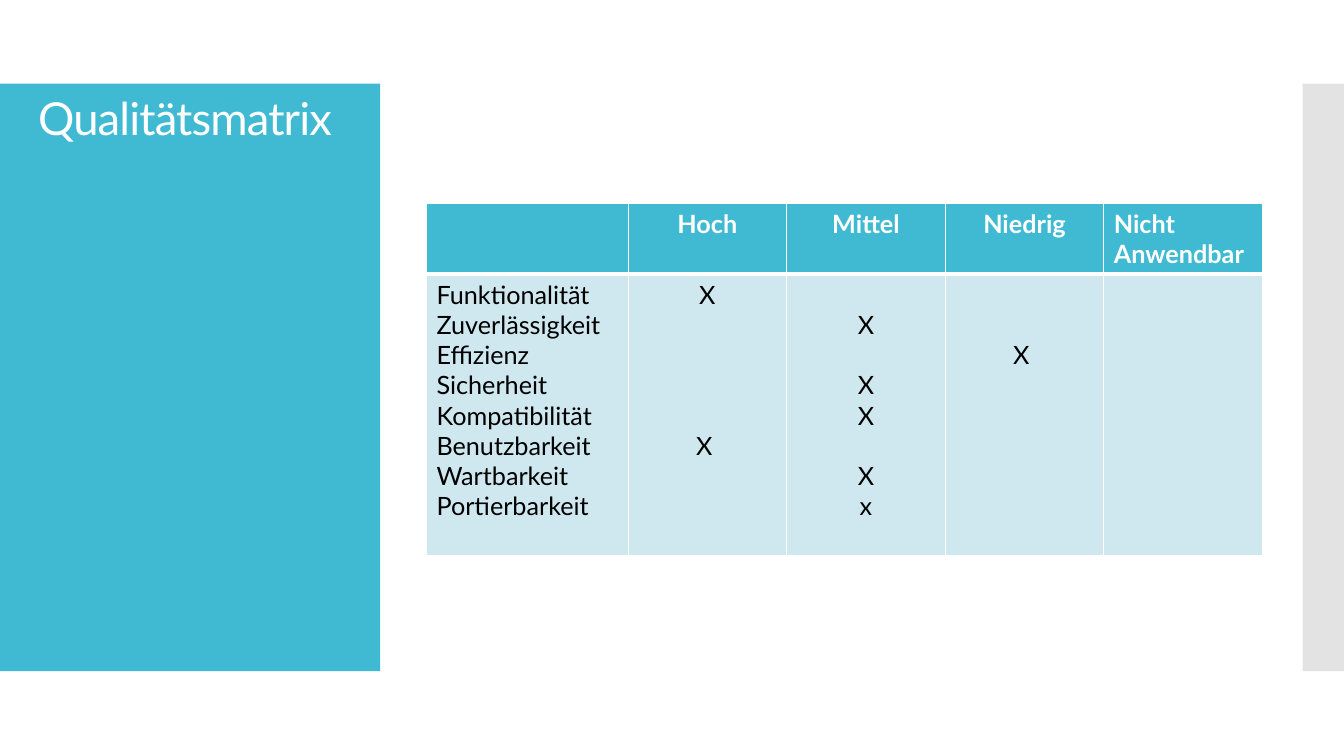
"""Build the quality matrix slide."""
import dataclasses

import pptx
import pptx.dml.color
import pptx.enum.shapes
import pptx.enum.text
import pptx.oxml
import pptx.oxml.ns
import pptx.util

Inches = pptx.util.Inches
Pt = pptx.util.Pt
ALIGN = pptx.enum.text.PP_ALIGN


@dataclasses.dataclass(frozen=True)
class Theme:
    """Colours, font and type sizes of the slide."""
    accent: str = "40BAD2"
    band: str = "CFE7EE"
    strip: str = "C8C8C8"
    light: str = "FFFFFF"
    dark: str = "000000"
    font: str = "Lato"
    title: float = 32.4
    body: float = 18


THEME = Theme()
LINE = 1.2 * THEME.body
CRITERIA = ["Funktionalität", "Zuverlässigkeit", "Effizienz", "Sicherheit",
            "Kompatibilität", "Benutzbarkeit", "Wartbarkeit", "Portierbarkeit"]
RATINGS = {
    "Hoch": {0: "X", 5: "X "},
    "Mittel": {1: "X", 3: "X", 4: "X", 6: "X", 7: "x"},
    "Niedrig": {2: "X "},
    "Nicht Anwendbar": {},
}


def rgb(color):
    """Return a colour object for a hex string."""
    return pptx.dml.color.RGBColor.from_string(color)


def set_all(target, values):
    """Set every attribute named in a dict."""
    for name, value in values.items():
        setattr(target, name, value)


def add_text(p, text, color, size=THEME.body, bold=False):
    """Add one formatted run to a paragraph."""
    r = p.add_run()
    r.text = text
    set_all(r.font, {"name": THEME.font, "size": Pt(size), "bold": bold})
    r.font.color.rgb = rgb(color)
    return r


def add_panel(s, box, color, opacity=100):
    """Draw a plain filled rectangle in the box."""
    sp = s.shapes.add_shape(pptx.enum.shapes.MSO_SHAPE.RECTANGLE, *map(Inches, box))
    sp.shadow.inherit = False
    sp.fill.solid()
    sp.fill.fore_color.rgb = rgb(color)
    sp.line.fill.background()
    if opacity < 100:
        clr = sp.fill._xPr.find(".//" + pptx.oxml.ns.qn("a:srgbClr"))
        clr.append(pptx.oxml.parse_xml(
            f'<a:alpha {pptx.oxml.ns.nsdecls("a")} val="{opacity * 1000}"/>'))


def add_title(s, box, text):
    """Place the slide title in the box."""
    tf = s.shapes.add_textbox(*map(Inches, box)).text_frame
    set_all(tf, {"word_wrap": True,
                 "vertical_anchor": pptx.enum.text.MSO_ANCHOR.MIDDLE})
    p = tf.paragraphs[0]
    p.line_spacing = 0.9
    r = add_text(p, text, THEME.light, THEME.title)
    r.font._element.set("spc", "-60")


def style_cell(cell, color, top, bottom):
    """Give a cell its white borders and its fill."""
    tcPr = cell._tc.get_or_add_tcPr()
    for side, width in {"L": 1, "R": 1, "T": top, "B": bottom}.items():
        tcPr.append(pptx.oxml.parse_xml(
            f'<a:ln{side} {pptx.oxml.ns.nsdecls("a")} w="{Pt(width)}"><a:solidFill>'
            f'<a:srgbClr val="{THEME.light}"/></a:solidFill></a:ln{side}>'))
    cell.fill.solid()
    cell.fill.fore_color.rgb = rgb(color)


def fill_marks(cell, marks):
    """Set each mark on the line of its criterion."""
    tf, previous = cell.text_frame, None
    for line, mark in marks.items():
        if previous is None:
            p = tf.paragraphs[0]
            cell.margin_top = Inches(0.05) + Pt(LINE * line)
        else:
            p = tf.add_paragraph()
            p.space_before = Pt(LINE * (line - previous - 1))
        p.alignment = ALIGN.CENTER
        add_text(p, mark, THEME.dark)
        previous = line


def add_matrix(s, box, label_width, header_height):
    """Draw the rating table in the box."""
    left, top, width, height = box
    columns = len(RATINGS) + 1
    table = s.shapes.add_table(2, columns, *map(Inches, box)).table
    table.rows[0].height = Inches(header_height)
    table.rows[1].height = Inches(height - header_height)
    for i, column in enumerate(table.columns):
        column.width = Inches((width - label_width) / len(RATINGS) if i else label_width)
        style_cell(table.cell(0, i), THEME.accent, 1, 3)
        style_cell(table.cell(1, i), THEME.band, 3, 1)
    fill_labels(table.cell(1, 0))
    for i, (heading, marks) in enumerate(RATINGS.items(), 1):
        p = table.cell(0, i).text_frame.paragraphs[0]
        p.alignment = ALIGN.CENTER if marks else ALIGN.LEFT
        add_text(p, heading, THEME.light, bold=True)
        fill_marks(table.cell(1, i), marks)


def fill_labels(cell):
    """List the criteria, one to a line."""
    tf = cell.text_frame
    for i, label in enumerate(CRITERIA):
        add_text(tf.add_paragraph() if i else tf.paragraphs[0], label, THEME.dark)


def build_slide(prs):
    """Compose the quality matrix slide."""
    s = prs.slides.add_slide(prs.slide_layouts[6])
    add_panel(s, (0, 0.83, 3.77, 5.83), THEME.accent)
    add_panel(s, (12.92, 0.83, 0.41, 5.83), THEME.strip, 50)
    add_matrix(s, (4.23, 2.02, 8.29, 3.48), 2, 0.69)
    add_title(s, (0.28, 0.85, 3.22, 0.7), "Qualitätsmatrix")


def main():
    """Create and save the presentation."""
    prs = pptx.Presentation()
    set_all(prs, {"slide_width": Inches(13.33), "slide_height": Inches(7.5)})
    build_slide(prs)
    prs.save("out.pptx")


main()
